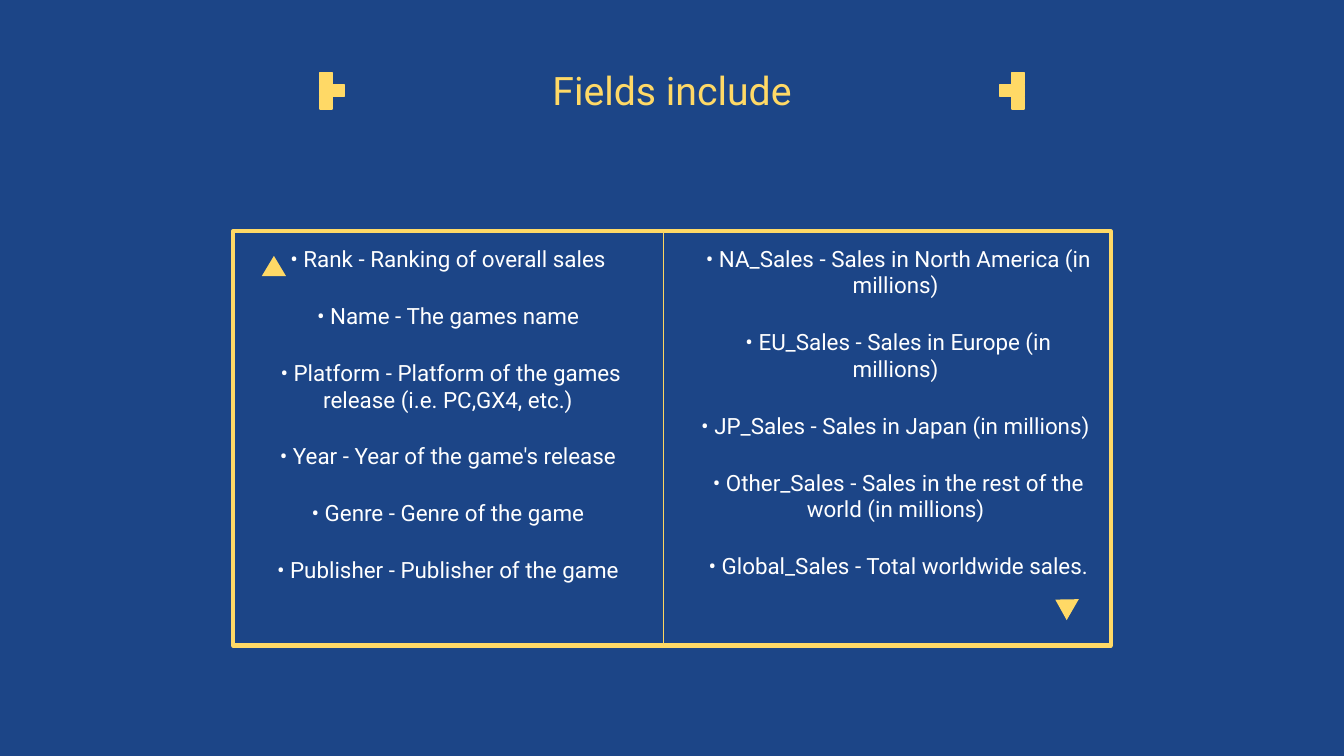
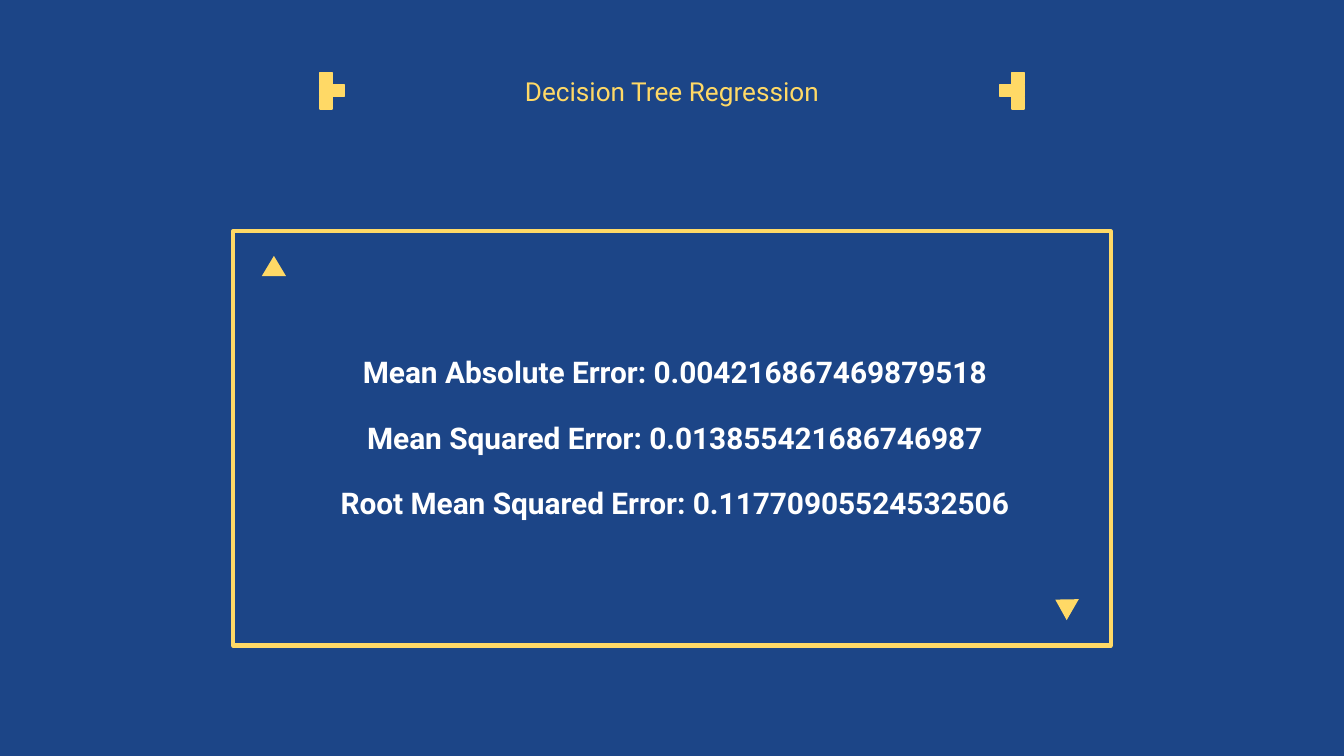
"""Build two framed slides: dataset fields and regression errors."""
from lxml import etree
from pptx import Presentation
from pptx.dml import color
from pptx.enum import shapes, text
from pptx.oxml import ns
from pptx.util import Inches, Pt

BLUE, GOLD, AMBER, WHITE = "1C4587", "FFD966", "FDD660", "FFFFFF"
PRESET = shapes.MSO_SHAPE

deck = Presentation()
deck.slide_width = Inches(10)
deck.slide_height = deck.slide_width * 9 // 16


def paint(target, hex_color):
    """Give a fill or a font a solid colour."""
    if hasattr(target, "solid"):
        target.solid()
        target = target.fore_color
    else:
        target = target.color
    target.rgb = color.RGBColor.from_string(hex_color)


def share(left, top, width, height):
    """Turn percentages of the slide's size into lengths."""
    return [int(part * size / 100) for part, size in zip(
        (left, top, width, height), (deck.slide_width, deck.slide_height) * 2)]


paint(deck.slide_master.background.fill, BLUE)

FRAME = (17.35, 30.6, 65.3, 54.8)
DIVIDER_X = 49.38
CELL_W, CELL_H = 0.9, 1.6
BRACKET_TOP = 9.6
BRACKETS = [(23.8, 1), (75.3, -1)]
BRACKET_CELLS = [(0, 0), (0, 1), (0, 2), (1, 1)]
MARKERS = [((19.48, 33.85, 1.8, 2.67), 0), ((78.27, 78.65, 1.8, 2.67), 300)]
INSETS = {f"margin_{side}": Inches(0.1) for side in ("left", "right", "top", "bottom")}
FRAME_FORMAT = {**INSETS, "word_wrap": True, "auto_size": text.MSO_AUTO_SIZE.NONE}

product_fields = [
    "• Rank - Ranking of overall sales ",
    "• Name - The games name ",
    "• Platform - Platform of the games release (i.e. PC,GX4, etc.) ",
    "• Year - Year of the game's release ",
    "• Genre - Genre of the game ",
    "• Publisher - Publisher of the game ",
]
sales_fields = [
    "• NA_Sales - Sales in North America (in millions) ",
    "• EU_Sales - Sales in Europe (in millions) ",
    "• JP_Sales - Sales in Japan (in millions) ",
    "• Other_Sales - Sales in the rest of the world (in millions) ",
    "• Global_Sales - Total worldwide sales.",
]
errors = [
    "Mean Absolute Error: 0.004216867469879518",
    "Mean Squared Error: 0.013855421686746987",
    "Root Mean Squared Error: 0.11770905524532506",
]
field_font = {"size": Pt(12), "bold": False}
error_font = {"size": Pt(16), "bold": True}

pages = [
    {"title": "Fields include", "size": 21, "place": (3.4, 5.6, 93.2, 11.2),
     "divided": True, "columns": [
         ((51.1, 30.6, 31.5, 54.8), sales_fields, field_font),
         ((17.8, 30.7, 31.5, 54.8), product_fields, field_font)]},
    {"title": "Decision Tree Regression", "size": 14, "place": (3.4, 7.85, 93.2, 8),
     "divided": False, "columns": [((17.83, 45, 64.8, 26.87), errors, error_font)]},
]

for page in pages:
    slide = deck.slides.add_slide(deck.slide_layouts[5])

    frame = slide.shapes.add_shape(PRESET.RECTANGLE, *share(*FRAME))
    frame.shadow.inherit = False
    frame.fill.background()
    paint(frame.line.fill, GOLD)
    frame.line.width = Pt(2.25)

    title = slide.shapes.title
    title.left, title.top, title.width, title.height = share(*page["place"])
    title.text_frame.text = page["title"]
    title.text_frame.vertical_anchor = text.MSO_ANCHOR.BOTTOM
    blocks = [(title, {"size": Pt(page["size"]), "bold": False}, GOLD, 0)]

    for left, direction in BRACKETS:
        bracket = slide.shapes.add_group_shape()
        for column, row in BRACKET_CELLS:
            cell = bracket.shapes.add_shape(PRESET.RECTANGLE, *share(
                left + direction * column * CELL_W, BRACKET_TOP + row * CELL_H, CELL_W, CELL_H))
            cell.shadow.inherit = False
            paint(cell.fill, GOLD)
            paint(cell.line.fill, GOLD)
            cell.line.width = Pt(0.75)

    for place, rotation in MARKERS:
        marker = slide.shapes.add_shape(PRESET.ISOSCELES_TRIANGLE, *share(*place))
        marker.shadow.inherit = False
        marker.rotation = rotation
        paint(marker.fill, GOLD)
        marker.line.fill.background()

    for place, lines, font in page["columns"]:
        column = slide.shapes.add_textbox(*share(*place))
        column.text_frame.text = "\n".join(lines)
        blocks.append((column, font, WHITE, 16))

    for block, font, ink, gap in blocks:
        for key, value in FRAME_FORMAT.items():
            setattr(block.text_frame, key, value)
        for paragraph in block.text_frame.paragraphs:
            paragraph.alignment = text.PP_ALIGN.CENTER
            paragraph.space_before, paragraph.space_after = Pt(0), Pt(gap)
            run = paragraph.runs[0]
            for key, value in {**font, "name": "Roboto"}.items():
                setattr(run.font, key, value)
            paint(run.font, ink)

    if page["divided"]:
        x, top, _, height = share(DIVIDER_X, FRAME[1], 0, FRAME[3])
        divider = slide.shapes.add_connector(
            shapes.MSO_CONNECTOR.STRAIGHT, x, top, x, top + height)
        paint(divider.line.fill, AMBER)
        divider.line.width = Pt(0.75)
        etree.SubElement(divider.element.spPr, ns.qn("a:effectLst"))

deck.save("out.pptx")
